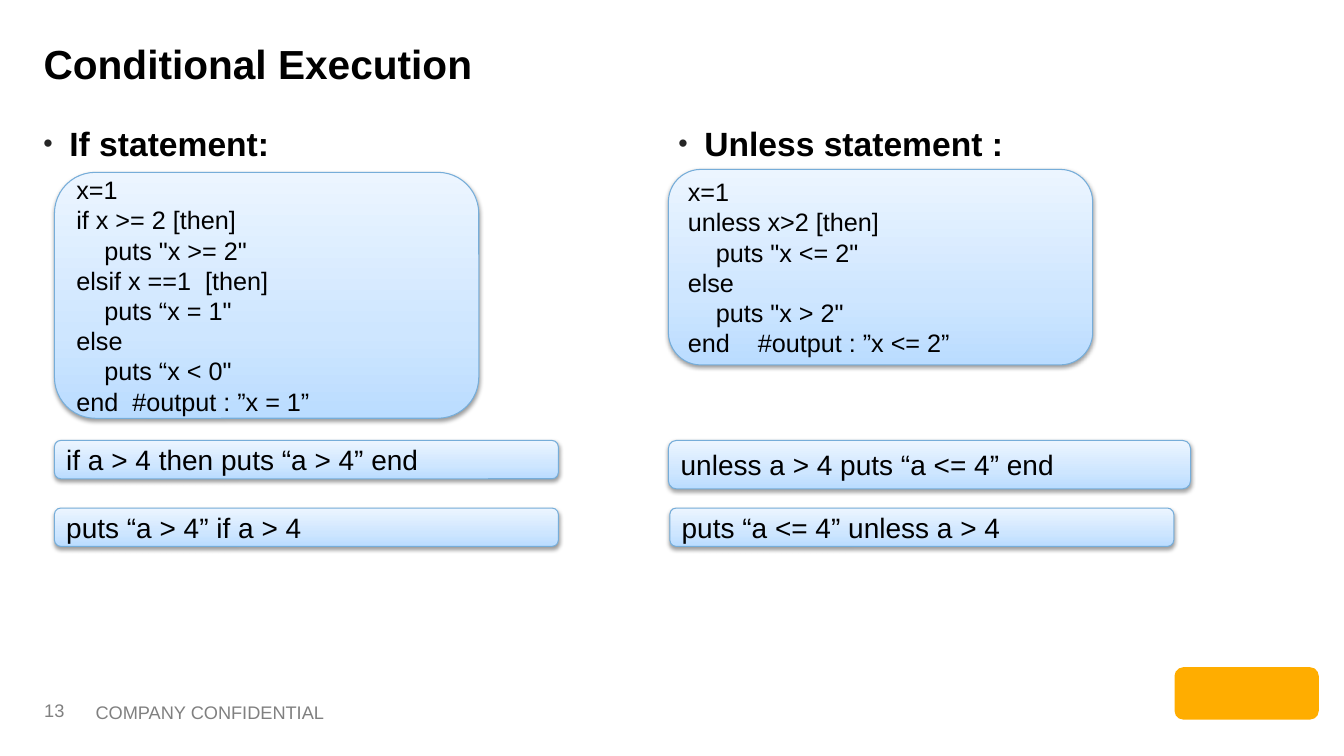
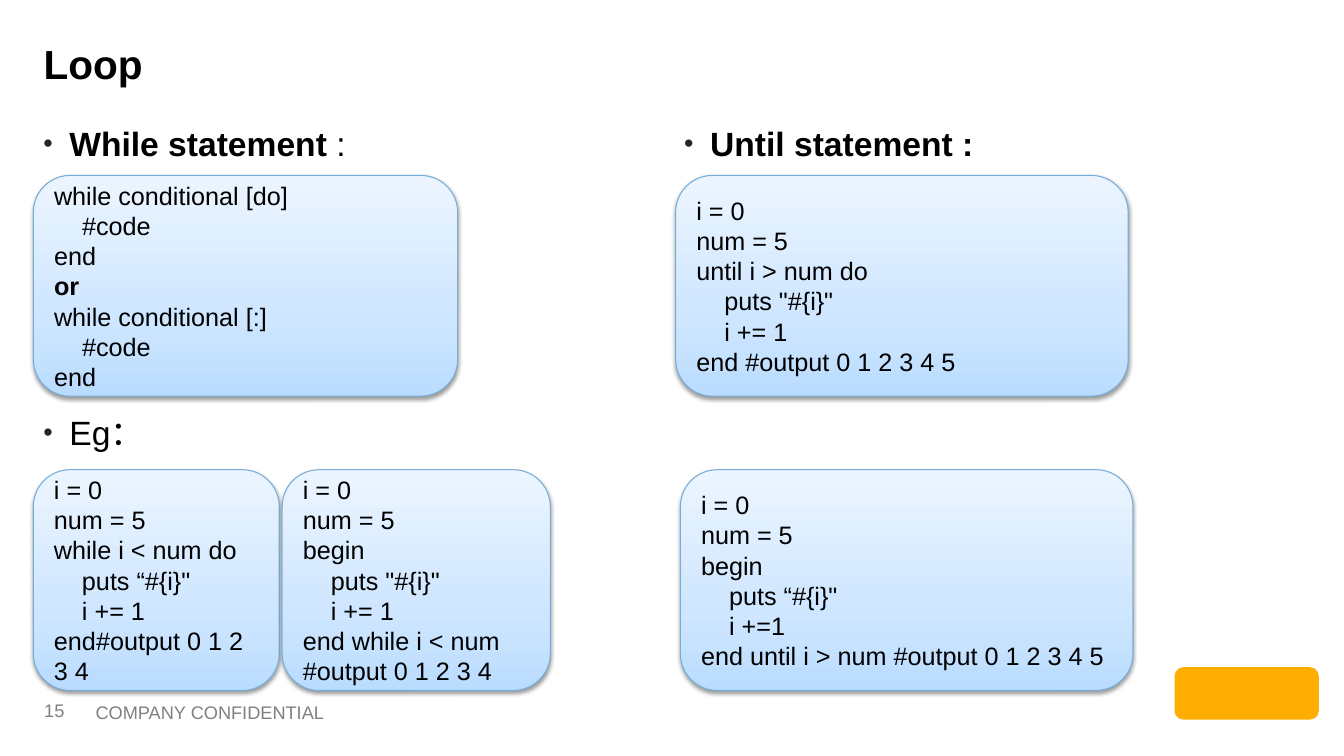
from dataclasses import dataclass

from lxml import etree
from pptx import Presentation
from pptx.dml.color import RGBColor
from pptx.enum.shapes import MSO_SHAPE
from pptx.enum.text import MSO_ANCHOR, PP_ALIGN
from pptx.oxml.ns import qn
from pptx.util import Pt

ROUND_RECT = MSO_SHAPE.ROUNDED_RECTANGLE
TOP, MIDDLE = MSO_ANCHOR.TOP, MSO_ANCHOR.MIDDLE
LEFT = PP_ALIGN.LEFT


@dataclass(frozen=True)
class Theme:
    font: str = "Arial"
    ink: str = "000000"
    muted: str = "808080"
    bullet: str = "262626"
    border: str = "76ADD9"
    mark: str = "FFAD00"
    gradient: tuple = ((0, "BADCFF"), (35, "CEE6FF"), (100, "ECF5FF"))
    title: float = 29
    heading: float = 24
    command: float = 20
    code: float = 18
    footer: float = 13
    code_indent: float = 20
    bullet_indent: float = 18.5


@dataclass(frozen=True)
class Box:
    x: float
    y: float
    w: float
    h: float


@dataclass(frozen=True)
class Line:
    text: str
    level: int = 0
    bold: bool = False
    gap_at: float = 0


@dataclass(frozen=True)
class Heading:
    runs: tuple
    before: float = 5.8


@dataclass(frozen=True)
class Column:
    box: Box
    headings: tuple


@dataclass(frozen=True)
class CodePanel:
    box: Box
    lines: tuple
    size: float


@dataclass(frozen=True)
class Page:
    number: str
    title: str
    columns: tuple
    panels: tuple


THEME = Theme()
TITLE_BOX = Box(24, 24.5, 918, 52)
FOOTER_BOX = Box(61.2, 497.5, 286.5, 24.5)
NUMBER_BOX = Box(26.6, 496.5, 46.8, 21.6)
MARK_BOX = Box(839, 476.6, 103, 37.4)


def rgb(value):
    return RGBColor.from_string(value)


def add_run(p, text: str, size: float, color: str, bold: bool = False) -> None:
    r = p.add_run()
    r.text = text
    r.font.name = THEME.font
    r.font.size = Pt(size)
    r.font.bold = bold
    r.font.color.rgb = rgb(color)


def add_text_frame(s, box: Box, anchor=TOP, inset_x: float = 7.2, inset_y: float = 3.6):
    tf = s.shapes.add_textbox(Pt(box.x), Pt(box.y), Pt(box.w), Pt(box.h)).text_frame
    tf.word_wrap = True
    tf.vertical_anchor = anchor
    tf.margin_left = tf.margin_right = Pt(inset_x)
    tf.margin_top = tf.margin_bottom = Pt(inset_y)
    return tf


def next_paragraph(tf, index: int):
    return tf.add_paragraph() if index else tf.paragraphs[0]


def add_bullet(p) -> None:
    pPr = p._p.get_or_add_pPr()
    pPr.set("marL", str(Pt(THEME.bullet_indent)))
    pPr.set("indent", str(-Pt(THEME.bullet_indent)))
    color = etree.SubElement(pPr, qn("a:buClr"))
    etree.SubElement(color, qn("a:srgbClr"), val=THEME.bullet)
    etree.SubElement(pPr, qn("a:buSzPct"), val="80000")
    etree.SubElement(pPr, qn("a:buFont"), typeface=THEME.font)
    etree.SubElement(pPr, qn("a:buChar"), char="•")


def add_column(s, column: Column) -> None:
    tf = add_text_frame(s, column.box)
    for i, heading in enumerate(column.headings):
        p = next_paragraph(tf, i)
        p.space_before, p.space_after = Pt(heading.before), Pt(0.8)
        add_bullet(p)
        for text, bold in heading.runs:
            add_run(p, text, THEME.heading, THEME.ink, bold)


def fill_gradient(sp) -> None:
    sp.fill.gradient()
    sp.fill.gradient_angle = 90
    stops = sp._element.spPr.find(qn("a:gradFill")).find(qn("a:gsLst"))
    for stop in list(stops):
        stops.remove(stop)
    for position, color in THEME.gradient:
        stop = etree.SubElement(stops, qn("a:gs"), pos=str(position * 1000))
        etree.SubElement(stop, qn("a:srgbClr"), val=color)


def add_soft_shadow(sp) -> None:
    sp.shadow.inherit = False
    effects = sp._element.spPr.find(qn("a:effectLst"))
    shadow = etree.SubElement(effects, qn("a:outerShdw"), blurRad=str(Pt(3.1)),
                              dist=str(Pt(1.6)), dir="5400000", rotWithShape="0")
    color = etree.SubElement(shadow, qn("a:srgbClr"), val=THEME.ink)
    etree.SubElement(color, qn("a:alpha"), val="38000")


def add_code_panel(s, panel: CodePanel) -> None:
    b = panel.box
    sp = s.shapes.add_shape(ROUND_RECT, Pt(b.x), Pt(b.y), Pt(b.w), Pt(b.h))
    fill_gradient(sp)
    sp.line.color.rgb = rgb(THEME.border)
    sp.line.width = Pt(0.75)
    add_soft_shadow(sp)
    tf = sp.text_frame
    tf.word_wrap = True
    tf.vertical_anchor = MIDDLE
    for i, line in enumerate(panel.lines):
        p = next_paragraph(tf, i)
        p.alignment = LEFT
        pPr = p._p.get_or_add_pPr()
        pPr.set("marL", str(Pt(line.level * THEME.code_indent)))
        if line.gap_at:
            tabs = etree.SubElement(pPr, qn("a:tabLst"))
            etree.SubElement(tabs, qn("a:tab"), pos=str(Pt(line.gap_at)), algn="l")
        add_run(p, line.text, panel.size, THEME.ink, line.bold)


def add_frame(s, page: Page) -> None:
    p = add_text_frame(s, FOOTER_BOX).paragraphs[0]
    add_run(p, "COMPANY CONFIDENTIAL", THEME.footer, THEME.muted)
    p = add_text_frame(s, NUMBER_BOX, MIDDLE, 5, 2.9).paragraphs[0]
    add_run(p, page.number, THEME.footer, THEME.muted)
    b = MARK_BOX
    sp = s.shapes.add_shape(ROUND_RECT, Pt(b.x), Pt(b.y), Pt(b.w), Pt(b.h))
    sp.fill.solid()
    sp.fill.fore_color.rgb = rgb(THEME.mark)
    sp.line.fill.background()
    sp.shadow.inherit = False
    p = add_text_frame(s, TITLE_BOX).paragraphs[0]
    add_run(p, page.title, THEME.title, THEME.ink, True)


def add_page(prs, page: Page) -> None:
    s = prs.slides.add_slide(prs.slide_layouts[6])
    add_frame(s, page)
    for column in page.columns:
        add_column(s, column)
    for panel in page.panels:
        add_code_panel(s, panel)


def code(x: float, y: float, w: float, h: float, *lines: Line) -> CodePanel:
    return CodePanel(Box(x, y, w, h), lines, THEME.code)


def command(x: float, y: float, w: float, h: float, text: str) -> CodePanel:
    return CodePanel(Box(x, y, w, h), (Line(text),), THEME.command)


def bold_heading(text: str) -> Heading:
    return Heading(((text, True),))


BODY_Y, BODY_H = 84.2, 367.2
SHORT_Y, INLINE_Y, BAR_W, BAR_H = 314.6, 362.9, 360, 27.4
LOOP_Y, EXAMPLE_Y, LOOP_H = 125.3, 335.5, 157.7
COUNTER = (Line("i = 0"), Line("num = 5"))

CONDITIONAL = Page(
    "13", "Conditional Execution",
    (Column(Box(24, BODY_Y, 460, BODY_H), (bold_heading("If statement:"),)),
     Column(Box(477.5, BODY_Y, 464.5, BODY_H), (bold_heading("Unless statement :"),))),
    (code(38.9, 123.1, 303.1, 175.7,
          Line("x=1"), Line("if x >= 2 [then]"), Line('puts "x >= 2"', 1),
          Line("elsif x ==1\t[then]", gap_at=92), Line('puts “x = 1"', 1),
          Line("else"), Line('puts “x < 0"', 1),
          Line("end\t#output : ”x = 1”", gap_at=40)),
     command(38.9, SHORT_Y, BAR_W, BAR_H, "if a > 4 then puts “a > 4” end"),
     command(38.9, INLINE_Y, BAR_W, BAR_H, "puts “a > 4” if a > 4"),
     code(477.4, 121, 303.1, 139.7,
          Line("x=1"), Line("unless x>2 [then]"), Line('puts "x <= 2"', 1),
          Line("else"), Line('puts "x > 2"', 1),
          Line("end\t#output : ”x <= 2”", gap_at=50)),
     command(477.4, SHORT_Y, 373, 34.6, "unless a > 4 puts “a <= 4” end"),
     command(478.5, INLINE_Y, BAR_W, BAR_H, "puts “a <= 4” unless a > 4")))

LOOP = Page(
    "15", "Loop",
    (Column(Box(24, BODY_Y, 460, 455.8),
            (Heading((("While statement ", True), (":", False))),
             Heading((("Eg：", False),), before=176.8))),
     Column(Box(481.7, BODY_Y, 460, BODY_H), (bold_heading("Until statement :"),))),
    (code(23.8, EXAMPLE_Y, 175.7, LOOP_H, *COUNTER,
          Line("while i < num do"), Line('puts “#{i}"', 1), Line("i += 1", 1),
          Line("end#output 0 1 2 3 4")),
     code(23.8, LOOP_Y, 303.1, LOOP_H,
          Line("while conditional [do]"), Line("#code", 1), Line("end"),
          Line("or", bold=True),
          Line("while conditional [:]"), Line("#code", 1), Line("end")),
     code(201.6, EXAMPLE_Y, 191.5, LOOP_H, *COUNTER,
          Line("begin"), Line('puts "#{i}"', 1), Line("i += 1", 1),
          Line("end while i < num"), Line("#output 0 1 2 3 4")),
     code(482.6, LOOP_Y, 323.3, LOOP_H, *COUNTER,
          Line("until i > num do"), Line('puts "#{i}"', 1), Line("i += 1", 1),
          Line("end #output 0 1 2 3 4 5")),
     code(486, EXAMPLE_Y, 323.3, LOOP_H, *COUNTER,
          Line("begin"), Line('puts “#{i}"', 1), Line("i +=1", 1),
          Line("end until i > num #output 0 1 2 3 4 5"))))


def main() -> None:
    prs = Presentation()
    prs.slide_width, prs.slide_height = Pt(960), Pt(540)
    for page in (CONDITIONAL, LOOP):
        add_page(prs, page)
    prs.save("out.pptx")


main()
